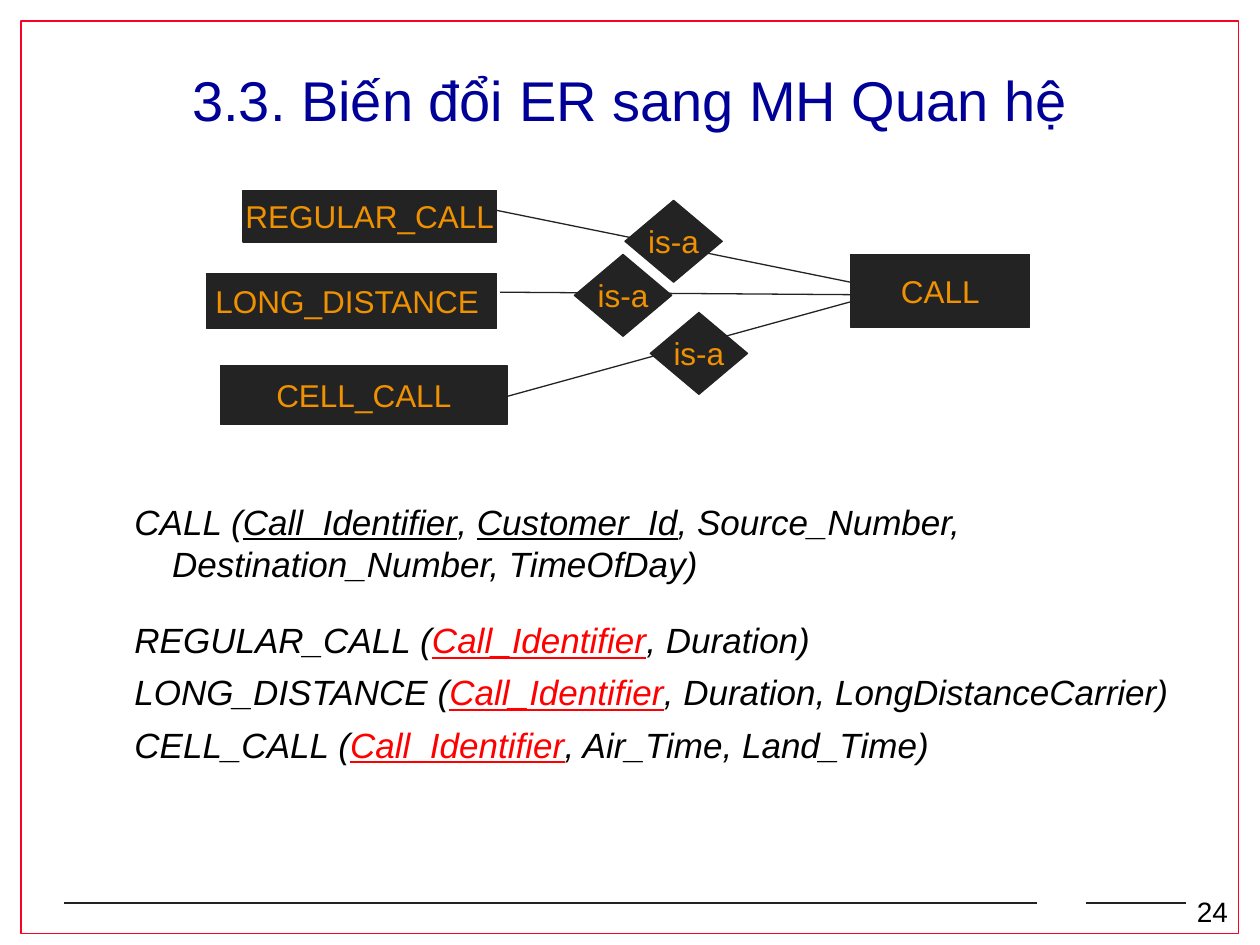
from lxml import etree
from pptx import Presentation
from pptx import util as u
from pptx.dml.color import RGBColor
from pptx.enum import shapes, text
from pptx.oxml.ns import qn

Cm, Pt = u.Cm, u.Pt
DARK = RGBColor(0x23, 0x23, 0x23)
ORANGE = RGBColor(0xEF, 0x91, 0x00)
NAVY = RGBColor(0x00, 0x00, 0x99)
BLACK = RGBColor(0x00, 0x00, 0x00)
RED = RGBColor(0xFF, 0x00, 0x00)
FRAME = RGBColor(0xFC, 0x01, 0x28)

TITLE = "3.3. Biến đổi ER sang MH Quan hệ"
PAGE = "24"
RULES = [(1.3, 18.21, 20.9, 18.21), (21.89, 18.21, 23.9, 18.21)]
LINKS = [
    (17.15, 5.69, 10.01, 4.24),
    (17.15, 5.94, 10.08, 5.89),
    (17.27, 6.05, 10.08, 8.03),
]
BOXES = [
    ("REGULAR_CALL", 4.9, 3.84, 5.11, 1.04),
    ("LONG_DISTANCE ", 4.17, 5.51, 5.84, 1.12),
    ("CELL_CALL", 4.45, 7.37, 5.77, 1.19),
    ("CALL", 17.15, 5.13, 3.61, 1.47),
]
ISA = [(12.6, 4.04), (11.58, 5.13), (13.11, 6.3)]
ISA_SIZE = (1.96, 1.65)
KEY = "Call_Identifier"
TABLES = [
    (5.8, BLACK, ["CALL (", KEY, ", ", "Customer_Id",
                  ", Source_Number, Destination_Number, TimeOfDay)"]),
    (19.7, RED, ["REGULAR_CALL (", KEY, ", Duration)"]),
    (5.8, RED, ["LONG_DISTANCE (", KEY, ", Duration, LongDistanceCarrier)"]),
    (5.8, RED, ["CELL_CALL (", KEY, ", Air_Time, Land_Time)"]),
]

deck = Presentation()
deck.slide_width, deck.slide_height = Cm(25.4), Cm(19.05)
slide = deck.slides.add_slide(deck.slide_layouts[6])


def add_run(para, words, size, color):
    run = para.add_run()
    run.text = words
    run.font.name, run.font.size = "Arial", Pt(size)
    run.font.color.rgb = color
    return run


def add_line(ends, width):
    line = slide.shapes.add_connector(
        shapes.MSO_CONNECTOR.STRAIGHT, *map(Cm, ends))
    line.line.color.rgb, line.line.width = DARK, Pt(width)
    etree.SubElement(line._element.spPr, qn("a:effectLst"))


def add_node(kind, words, *area):
    node = slide.shapes.add_shape(kind, *map(Cm, area))
    node.shadow.inherit = False
    node.fill.solid()
    node.fill.fore_color.rgb = DARK
    node.line.color.rgb, node.line.width = DARK, Pt(0.75)
    frame = node.text_frame
    frame.word_wrap = False
    frame.vertical_anchor = text.MSO_ANCHOR.MIDDLE
    para = frame.paragraphs[0]
    para.alignment = text.PP_ALIGN.CENTER
    add_run(para, words, 18, ORANGE)


def add_text(area, wrap=True):
    frame = slide.shapes.add_textbox(*map(Cm, area)).text_frame
    frame.word_wrap = wrap
    return frame


border = slide.shapes.add_shape(
    shapes.MSO_SHAPE.RECTANGLE, Cm(0.43), Cm(0.43), Cm(24.54), Cm(18.39))
border.shadow.inherit = False
border.fill.background()
border.line.color.rgb, border.line.width = FRAME, Pt(1)

for ends in RULES:
    add_line(ends, 1)
for ends in LINKS:
    add_line(ends, 0.75)
for name, *area in BOXES:
    add_node(shapes.MSO_SHAPE.RECTANGLE, name, *area)
for spot in ISA:
    add_node(shapes.MSO_SHAPE.DIAMOND, "is-a", *spot, *ISA_SIZE)

head = add_text((1.91, 1.27, 21.59, 1.47))
head.vertical_anchor = text.MSO_ANCHOR.MIDDLE
head.paragraphs[0].alignment = text.PP_ALIGN.CENTER
add_run(head.paragraphs[0], TITLE, 32, NAVY)

body = add_text((2.46, 9.96, 23.29, 8))
for i, (gap, tint, parts) in enumerate(TABLES):
    para = body.add_paragraph() if i else body.paragraphs[0]
    para.space_before = Pt(gap)
    props = para._p.get_or_add_pPr()
    props.set("marL", str(Cm(0.76)))
    props.set("indent", str(Cm(-0.76)))
    for j, part in enumerate(parts):
        is_key = j % 2 == 1
        run = add_run(para, part, 20, tint if is_key else BLACK)
        run.font.italic = True
        run.font.underline = is_key

page = add_text((23.88, 17.91, 1.17, 0.91), False)
add_run(page.paragraphs[0], PAGE, 16, BLACK)

deck.save("out.pptx")
